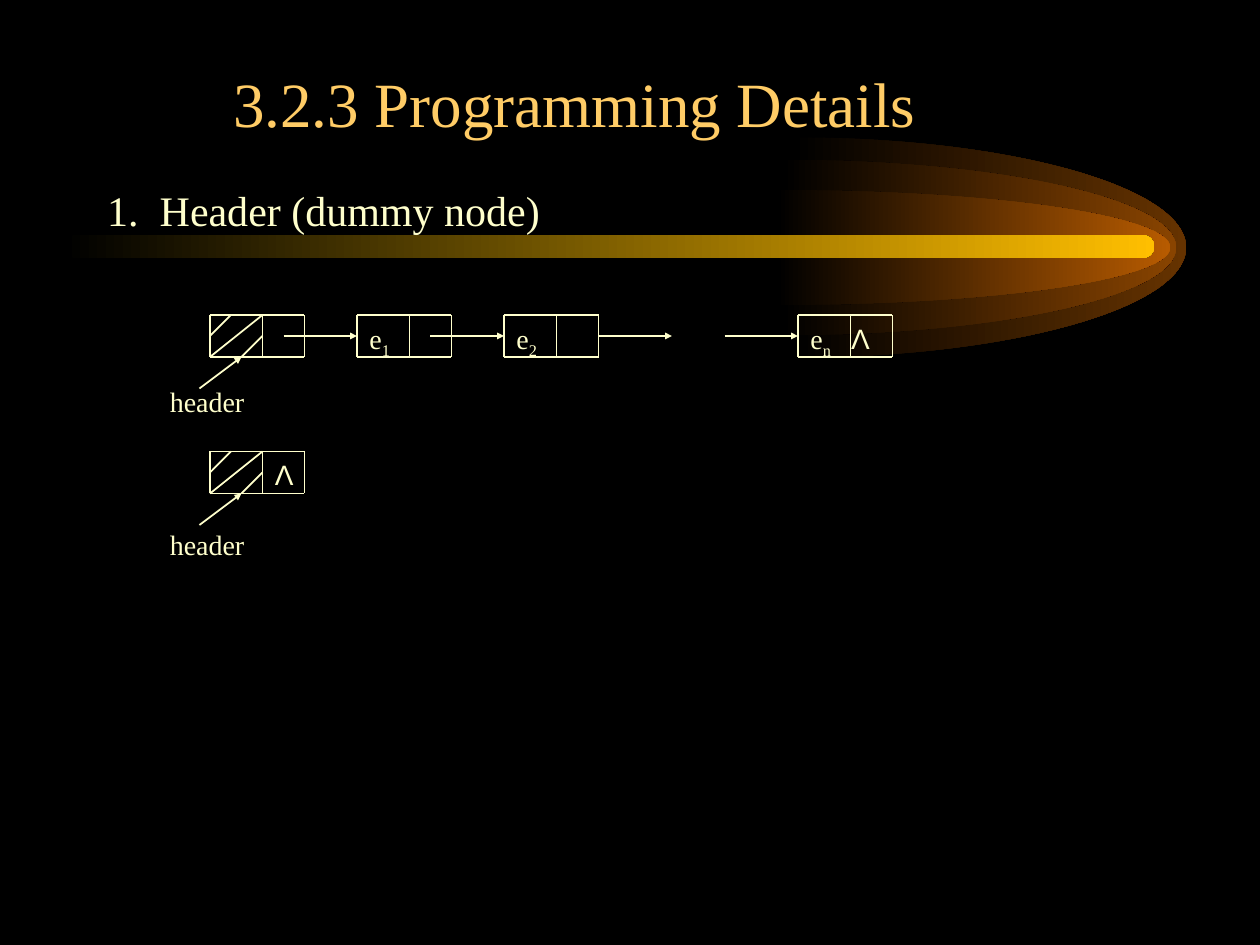
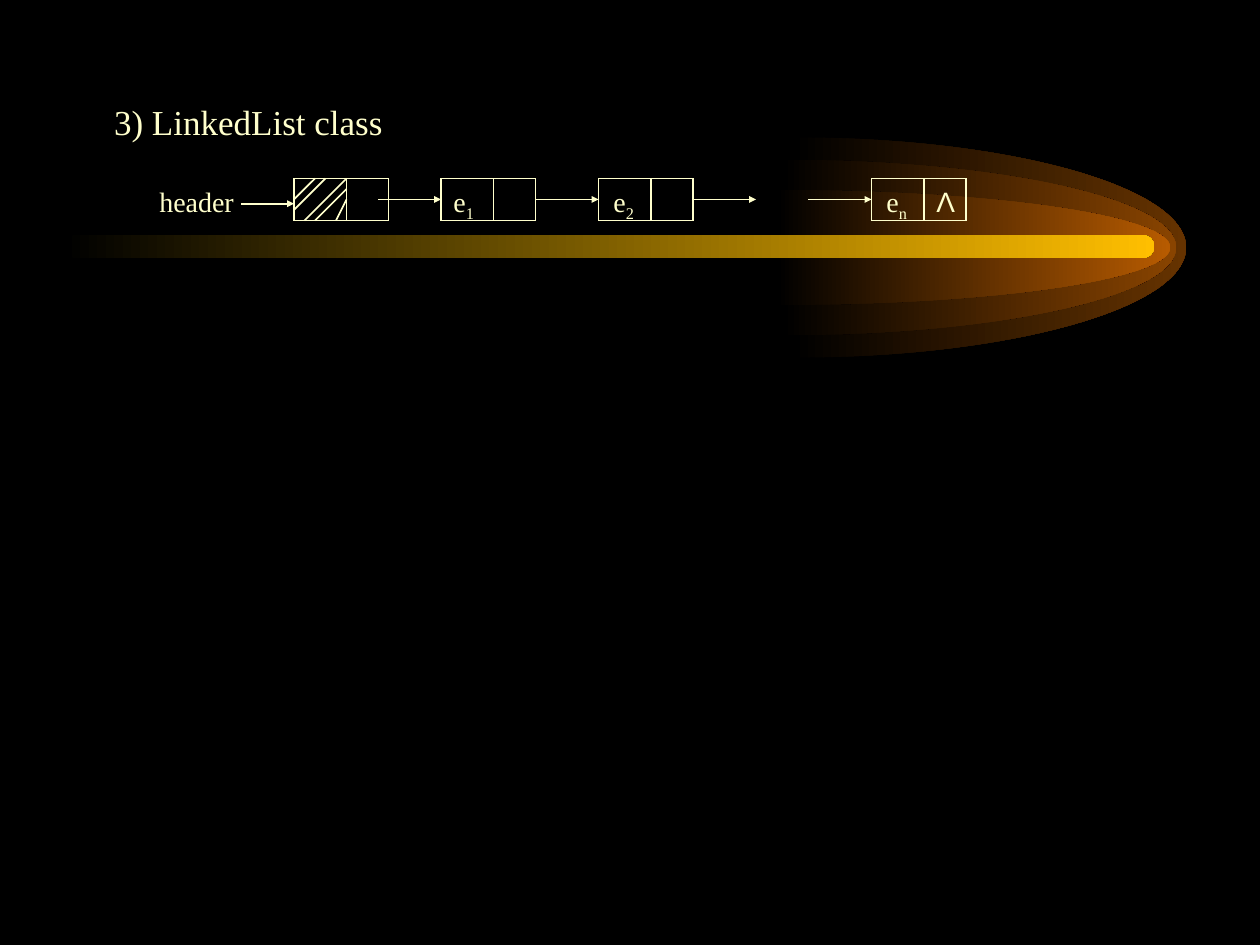
from dataclasses import dataclass

from lxml import etree
from pptx import Presentation
from pptx.dml.color import RGBColor
from pptx.enum.shapes import MSO_CONNECTOR, MSO_SHAPE
from pptx.enum.text import MSO_ANCHOR
from pptx.oxml.ns import qn
from pptx.util import Cm, Pt

STRAIGHT = MSO_CONNECTOR.STRAIGHT
ROUND_RECT = MSO_SHAPE.ROUNDED_RECTANGLE
TOP, BOTTOM = MSO_ANCHOR.TOP, MSO_ANCHOR.BOTTOM

BLACK = RGBColor(0x00, 0x00, 0x00)
CREAM = RGBColor(0xFF, 0xFF, 0xCC)
GOLD = RGBColor(0xFF, 0xCC, 0x66)
BAND = RGBColor(0xFF, 0xBF, 0x00)
SERIF, SANS = "Times New Roman", "Arial"

# Diagrams sit on a grid of twelve units to 2.54 cm
UNIT = 2.54 / 12
NODE_W, NODE_H, LINK_X = 9, 4, 5
COARSE_HATCH = [(2, 0, 0, 2), (5, 0, 0, 4), (5, 2, 3, 4)]
FINE_HATCH = [(2, 0, 0, 2), (3, 0, 0, 3), (5, 0, 1, 4), (5, 1, 2, 4), (5, 2, 4, 4)]


@dataclass
class Glow:
    """Half ellipse of the backdrop, in cm."""
    left: float
    radius_y: float
    color: RGBColor


@dataclass
class Node:
    """List node in grid units; tail is text after a tab in the label."""
    x: float
    y: float
    index: str = ""
    label_dx: float = 0
    label_w: float = 8.75
    tail: str = ""
    hatch: tuple | list = ()


@dataclass
class Arrow:
    x1: float
    y1: float
    x2: float
    y2: float


@dataclass
class Label:
    text: str
    x: float
    y: float
    w: float
    font: str = SERIF


GLOWS = [
    Glow(15.97, 2.22, RGBColor(0x66, 0x33, 0x00)),
    Glow(15.77, 1.77, RGBColor(0x89, 0x44, 0x00)),
    Glow(15.65, 1.16, RGBColor(0xB7, 0x5B, 0x00)),
]
GLOW_RADIUS_X, GLOW_Y = 7.94, 4.99
# Control points of a half ellipse with unit radii
HALF_ELLIPSE = [(0, -1), (0.55, -1), (1, -0.55), (1, 0), (1, 0.55), (0.55, 1), (0, 1)]


def grid(n: float) -> Cm:
    return Cm(n * UNIT)


def fade_fill(s, color: RGBColor) -> None:
    """Fade from black on the left to the given colour."""
    s.shadow.inherit = False
    s.line.fill.background()
    s.fill.gradient()
    s.fill.gradient_angle = 0
    for stop, rgb in zip(s.fill.gradient_stops, (BLACK, color)):
        stop.color.rgb = rgb


def add_glow(shapes, glow: Glow) -> None:
    points = [(Cm(glow.left + GLOW_RADIUS_X * x), Cm(GLOW_Y + glow.radius_y * y))
              for x, y in HALF_ELLIPSE]
    outline = shapes.build_freeform(*points[0])
    outline.add_line_segments(points[1:], close=True)
    s = outline.convert_to_shape()
    # Turn each three line segments into one curve
    segments = list(s._element.iter(qn("a:lnTo")))
    for i in range(0, len(segments), 3):
        curve = etree.Element(qn("a:cubicBezTo"))
        segments[i].addprevious(curve)
        for segment in segments[i:i + 3]:
            curve.append(segment[0])
            segment.getparent().remove(segment)
    fade_fill(s, glow.color)


def add_backdrop(prs, slide) -> None:
    """Draw the backdrop as a group and hand it to the slide master."""
    master = prs.slide_master
    master.background.fill.solid()
    master.background.fill.fore_color.rgb = BLACK
    group = slide.shapes.add_group_shape()
    for glow in GLOWS:
        add_glow(group.shapes, glow)
    band = group.shapes.add_shape(ROUND_RECT, Cm(1.27), Cm(4.74), Cm(22), Cm(0.46))
    band.adjustments[0] = 0.5
    fade_fill(band, BAND)
    for number, props in enumerate(group._element.iter(qn("p:cNvPr")), 100):
        props.set("id", str(number))
    master.shapes._spTree.insert(2, group._element)


def add_text(shapes, text: str, left: Cm, top: Cm, width: Cm, height: Cm, size: float,
             color: RGBColor = CREAM, font: str = SERIF, anchor=TOP):
    """Add a one-paragraph box and return the paragraph."""
    tf = shapes.add_textbox(left, top, width, height).text_frame
    tf.word_wrap = True
    tf.vertical_anchor = anchor
    tf.text = text
    p = tf.paragraphs[0]
    style_run(p.runs[0], size, color, font)
    return p


def style_run(r, size: float, color: RGBColor, font: str) -> None:
    r.font.size = Pt(size)
    r.font.name = font
    r.font.color.rgb = color


def indent(p, margin: Cm, first: int = 0) -> None:
    pPr = p._p.get_or_add_pPr()
    pPr.set("marL", str(margin))
    pPr.set("indent", str(first))


def add_line(shapes, x1: float, y1: float, x2: float, y2: float, arrow: bool = False) -> None:
    line = shapes.add_connector(STRAIGHT, grid(x1), grid(y1), grid(x2), grid(y2))
    line.line.color.rgb = CREAM
    line.line.width = Pt(1)
    if arrow:
        etree.SubElement(line.line._get_or_add_ln(), qn("a:tailEnd"),
                         type="triangle", w="sm", len="sm")
    etree.SubElement(line._element.spPr, qn("a:effectLst"))


def add_label(shapes, label: Label):
    return add_text(shapes, label.text, grid(label.x), grid(label.y),
                    grid(label.w), Cm(0.94), 16, font=label.font)


def add_node(shapes, node: Node) -> None:
    x, y = node.x, node.y
    for dy in (0, NODE_H):
        add_line(shapes, x, y + dy, x + NODE_W, y + dy)
    for dx in (0, LINK_X, NODE_W):
        add_line(shapes, x + dx, y, x + dx, y + NODE_H)
    for x1, y1, x2, y2 in node.hatch:
        add_line(shapes, x + x1, y + y1, x + x2, y + y2)
    if node.index:
        add_node_label(shapes, node)


def add_node_label(shapes, node: Node) -> None:
    p = add_label(shapes, Label("e", node.x + node.label_dx, node.y, node.label_w))
    r = p.add_run()
    r.text = node.index
    style_run(r, 16, CREAM, SERIF)
    r._r.get_or_add_rPr().set("baseline", "-25000")
    if node.tail:
        tabs = etree.SubElement(p._p.get_or_add_pPr(), qn("a:tabLst"))
        etree.SubElement(tabs, qn("a:tab"), pos=str(Cm(0.82)), algn="l")
        r = p.add_run()
        r.text = "\t" + node.tail
        style_run(r, 16, CREAM, SANS)


def add_diagram(slide, nodes: list[Node], arrows: list[Arrow], labels: list[Label]) -> None:
    shapes = slide.shapes.add_group_shape().shapes
    for node in nodes:
        add_node(shapes, node)
    for a in arrows:
        add_line(shapes, a.x1, a.y1, a.x2, a.y2, arrow=True)
    for label in labels:
        add_label(shapes, label)


def build_header_slide(prs, slide) -> None:
    title = add_text(slide.shapes, "3.2.3 Programming Details", Cm(1.91), Cm(0.84),
                     Cm(21.59), Cm(2.11), 36, GOLD, anchor=BOTTOM)
    indent(title, Cm(2.54))
    p = add_text(slide.shapes, "1.\tHeader (dummy node)", Cm(1.91), Cm(3.6),
                 Cm(21.59), Cm(13.54), 24)
    indent(p, Cm(1.06), -Cm(1.06))

    # Filled list above, empty list below
    nodes = [
        Node(20, 30, hatch=COARSE_HATCH),
        Node(34, 30, "1", label_w=8),
        Node(48, 30, "2", label_w=11),
        Node(76, 30, "n", label_w=9, tail="Λ"),
        Node(20, 43, hatch=COARSE_HATCH),
    ]
    arrows = [Arrow(x, 32, x + 7, 32) for x in (27, 41, 57, 69)]
    arrows += [Arrow(19, y + 7, 23, y + NODE_H) for y in (30, 43)]
    labels = [Label("header", 15, y, 12) for y in (36, 49.65)]
    labels.append(Label("Λ", 25, 43, 4, SANS))
    add_diagram(slide, nodes, arrows, labels)


def build_class_slide(prs, slide) -> None:
    p = add_text(slide.shapes, "3) LinkedList class", Cm(1.7), Cm(1.91),
                 Cm(21.59), Cm(16.08), 20)
    indent(p, Cm(0.35))

    nodes = [
        Node(28, 17, hatch=FINE_HATCH),
        Node(42, 17, "1"),
        Node(57, 17, "2", label_dx=0.25),
        Node(83, 17, "n", label_dx=0.25),
    ]
    arrows = [Arrow(x, 19, x + 6, 19) for x in (36, 51, 66, 77)]
    arrows.append(Arrow(23, 19.4, 28, 19.4))
    labels = [Label("header", 14, 17, 10), Label("Λ", 88, 17, 4, SANS)]
    add_diagram(slide, nodes, arrows, labels)


def main() -> None:
    prs = Presentation()
    prs.slide_width, prs.slide_height = Cm(25.4), Cm(19.05)
    blank = prs.slide_layouts[6]
    header_slide, class_slide = (prs.slides.add_slide(blank) for _ in range(2))
    add_backdrop(prs, header_slide)
    build_header_slide(prs, header_slide)
    build_class_slide(prs, class_slide)
    prs.save("out.pptx")


if __name__ == "__main__":
    main()
